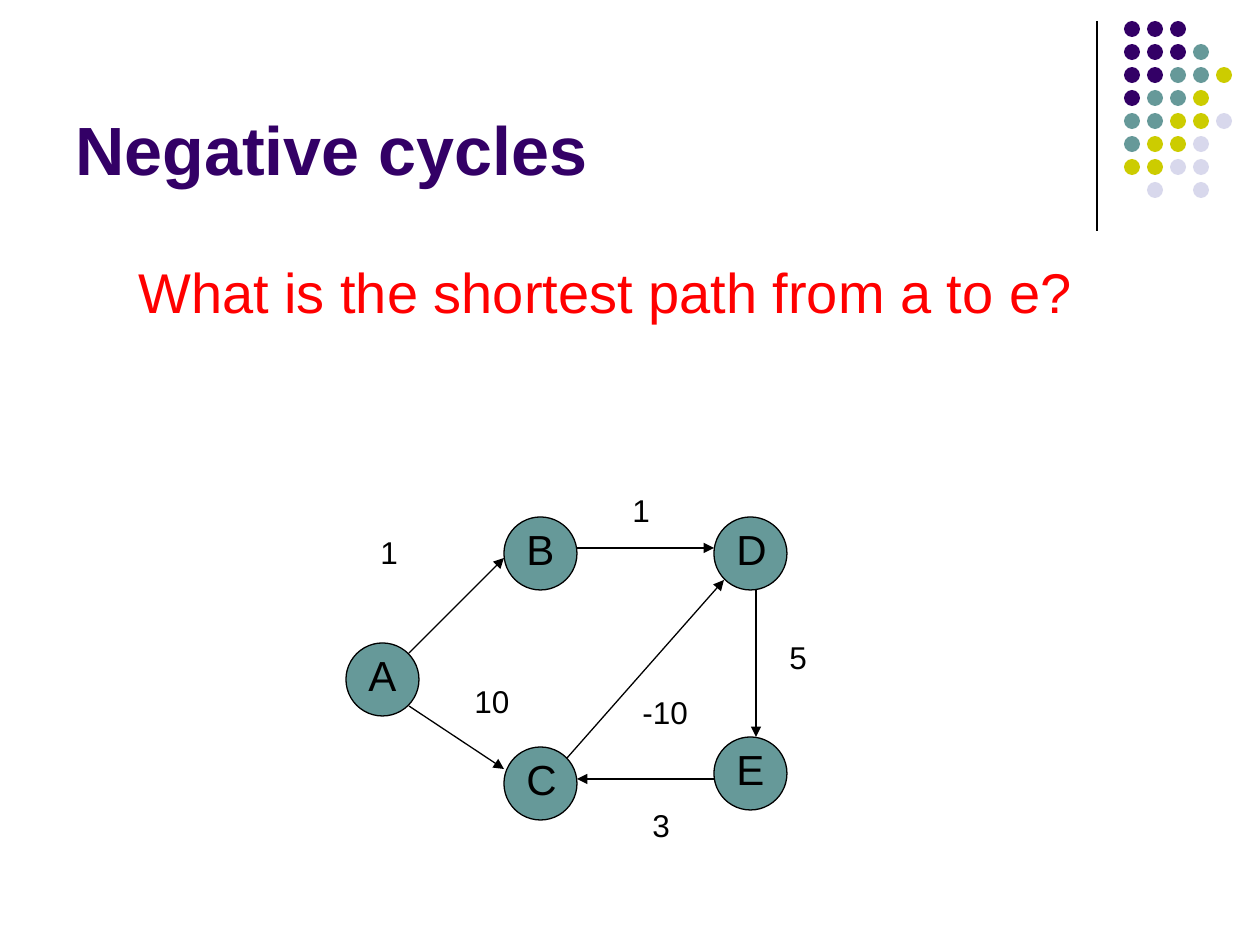
from lxml.etree import SubElement
from pptx import Presentation
from pptx.dml.color import RGBColor
from pptx.enum.shapes import MSO_CONNECTOR, MSO_SHAPE
from pptx.enum.text import MSO_ANCHOR
from pptx.oxml.ns import qn
from pptx.util import Emu, Pt

EMU_PER_PX = 914400 / 126
FONT = "Arial"

BLACK = RGBColor(0x00, 0x00, 0x00)
PURPLE = RGBColor(0x33, 0x00, 0x66)
TEAL = RGBColor(0x66, 0x99, 0x99)
OLIVE = RGBColor(0xCC, 0xCC, 0x00)
LAVENDER = RGBColor(0xD8, 0xD8, 0xEC)
RED = RGBColor(0xFF, 0x00, 0x00)

DOT_COLORS = {"P": PURPLE, "T": TEAL, "O": OLIVE, "L": LAVENDER}
DOT_ROWS = ["PPP", "PPPT", "PPTTO", "PTTO", "TTOOL", "TOOL", "OOLL", " L L"]
DOT_LEFT, DOT_TOP, DOT_PITCH, DOT_SIZE = 1124, 21, 23, 16

NODE_SIZE = 73
NODES = {"A": (346, 643), "B": (504, 517), "C": (504, 747),
         "E": (714, 737), "D": (714, 517)}

# Start and end of each arrow
EDGES = [
    ((409, 653), (504, 558)),
    ((409, 706), (504, 769)),
    ((577, 548), (714, 548)),
    ((567, 758), (724, 580)),
    ((756, 590), (756, 737)),
    ((714, 779), (577, 779)),
]

# Text, left and top of each edge weight
WEIGHTS = [("1", 368, 527), ("1", 620, 485), ("-10", 630, 687),
           ("5", 777, 632), ("10", 462, 676), ("3", 640, 800)]


def px(length):
    return Emu(round(length * EMU_PER_PX))


def add_text(shapes, text, left, top, width, height, size, color=BLACK,
             bold=False, anchor=MSO_ANCHOR.TOP):
    box = shapes.add_textbox(px(left), px(top), px(width), px(height))
    frame = box.text_frame
    frame.word_wrap = True
    frame.vertical_anchor = anchor
    paragraph = frame.paragraphs[0]
    paragraph.text = text
    font = paragraph.font
    font.name = FONT
    font.size = Pt(size)
    font.bold = bold
    font.color.rgb = color


def add_circle(shapes, left, top, size, fill, outlined=False):
    circle = shapes.add_shape(MSO_SHAPE.OVAL, px(left), px(top), px(size), px(size))
    circle.shadow.inherit = False
    circle.fill.solid()
    circle.fill.fore_color.rgb = fill
    if outlined:
        circle.line.color.rgb = BLACK
        circle.line.width = Pt(0.75)
    else:
        circle.line.fill.background()


def add_line(shapes, start, end, arrow=False):
    line = shapes.add_connector(MSO_CONNECTOR.STRAIGHT, px(start[0]), px(start[1]),
                                px(end[0]), px(end[1]))
    line.line.color.rgb = BLACK
    line.line.width = Pt(0.75)
    properties = line.line._get_or_add_ln()
    if arrow:
        SubElement(properties, qn("a:tailEnd"), type="triangle")
    SubElement(properties.getparent(), qn("a:effectLst"))


def add_dot_pattern(shapes):
    dots = shapes.add_group_shape().shapes
    for row, codes in enumerate(DOT_ROWS):
        for column, code in enumerate(codes):
            if code in DOT_COLORS:
                add_circle(dots, DOT_LEFT + column * DOT_PITCH,
                           DOT_TOP + row * DOT_PITCH, DOT_SIZE, DOT_COLORS[code])


def add_node(shapes, name, left, top):
    node = shapes.add_group_shape().shapes
    add_circle(node, left, top, NODE_SIZE, TEAL, outlined=True)
    add_text(node, name, left + 10, top, 63, 63, 24)


def main():
    presentation = Presentation()
    presentation.slide_width = px(1260)
    presentation.slide_height = px(945)
    slide = presentation.slides.add_slide(presentation.slide_layouts[6])
    shapes = slide.shapes

    add_line(shapes, (1097, 21), (1097, 231))
    add_dot_pattern(shapes)
    add_text(shapes, "Negative cycles", 63, 16, 1040, 179, 39, PURPLE,
             bold=True, anchor=MSO_ANCHOR.BOTTOM)
    for name, (left, top) in NODES.items():
        add_node(shapes, name, left, top)
    for start, end in EDGES:
        add_line(shapes, start, end, arrow=True)
    for text, left, top in WEIGHTS:
        add_text(shapes, text, left, top, 94, 50, 18)
    add_text(shapes, "What is the shortest path from a to e?", 126, 251, 976, 81, 32, RED)

    presentation.save("out.pptx")


if __name__ == "__main__":
    main()
